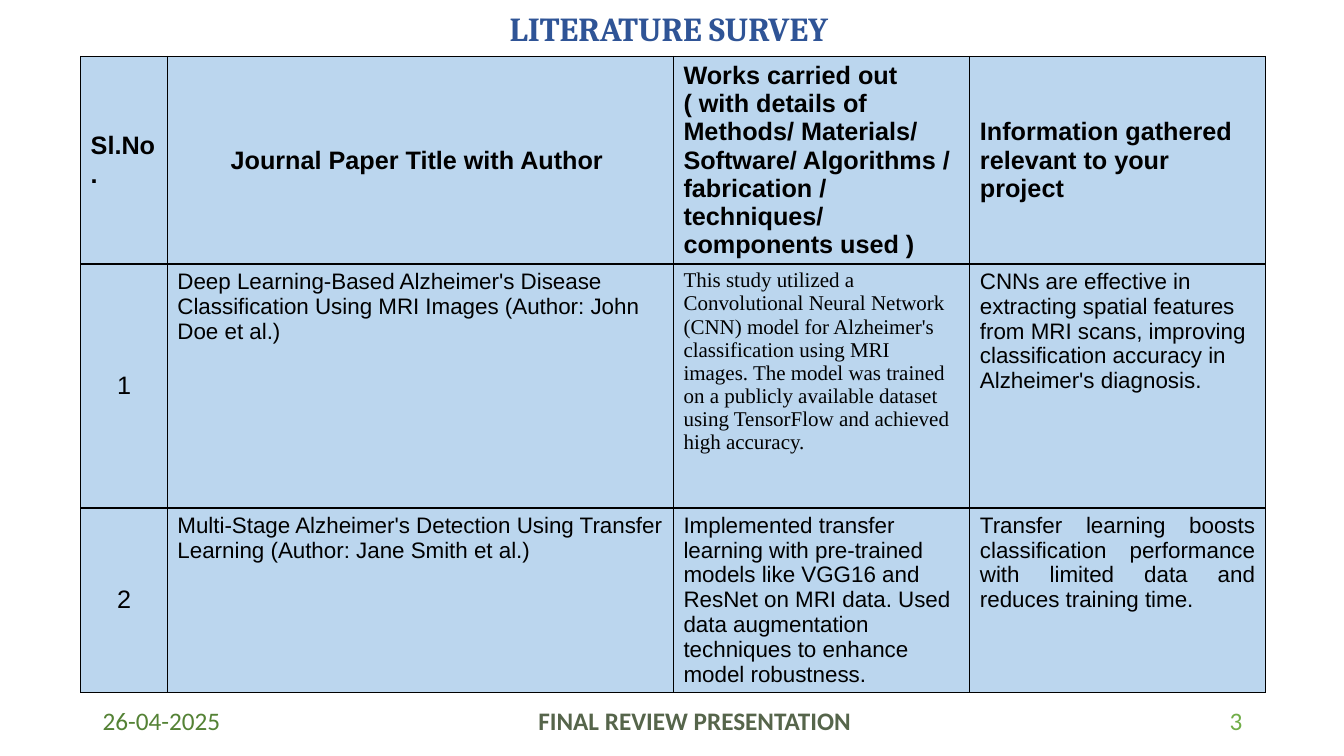
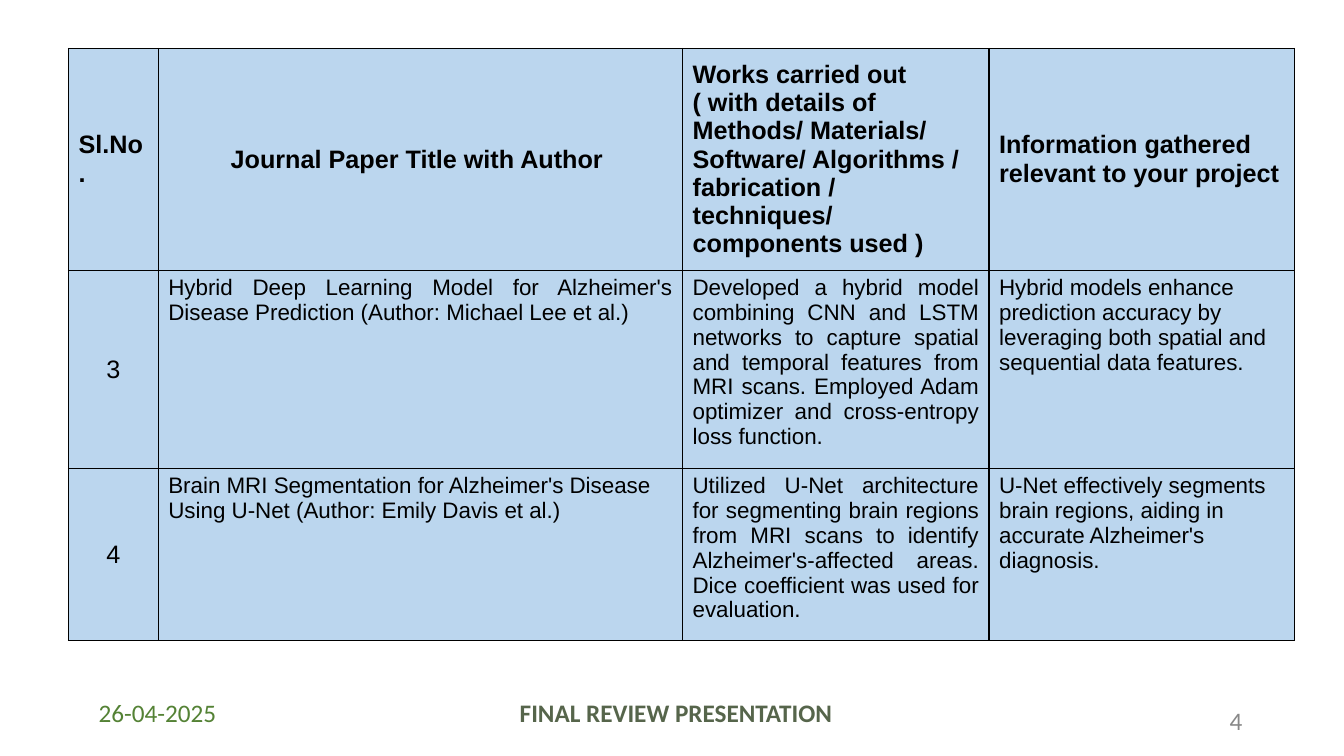
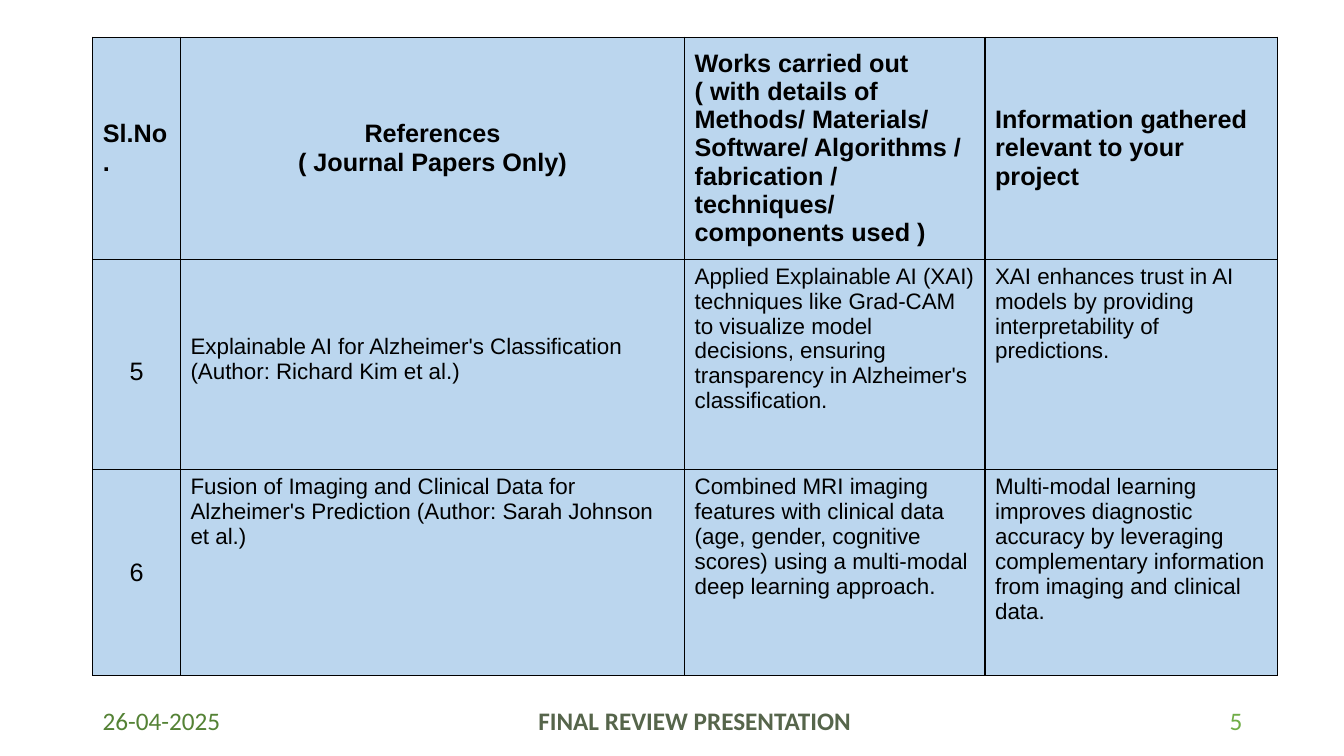
from lxml import etree
from pptx import Presentation
from pptx.dml.color import RGBColor
from pptx.enum.text import MSO_ANCHOR as ANCHOR, MSO_AUTO_SIZE as AUTO_SIZE, PP_ALIGN as ALIGN
from pptx.oxml import parse_xml
from pptx.oxml.ns import nsdecls
from pptx.util import Inches, Pt

# Shared colours and footer wording
TITLE_BLUE = "2F5496"
CELL_BLUE = "BBD6EE"
BLACK = "000000"
DATE_GREEN = "548235"
FOOTER_OLIVE = "56654B"
PAGE_GREEN = "70AD47"
PAGE_GREY = "888888"
DATE = "26-04-2025"
FOOTER = "FINAL REVIEW PRESENTATION"

# Shared table headings
NUMBER_HEAD = "Sl.No."
PAPER_HEAD = "Journal Paper Title with Author "
WORKS_HEAD = ("Works carried out\n( with details of Methods/ Materials/ Software/ Algorithms / "
              "fabrication / techniques/ components used )")
INFO_HEAD = "Information gathered relevant to your project"
HEAD_HEIGHT = 2.06


def style(frame, size, color, font, bold=False, align=ALIGN.LEFT):
    for paragraph in frame.paragraphs:
        paragraph.alignment = align
        for run in paragraph.runs:
            run.font.size = Pt(size)
            run.font.name = font
            run.font.bold = bold
            run.font.color.rgb = RGBColor.from_string(color)


def fill_and_border(cell):
    cell.fill.solid()
    cell.fill.fore_color.rgb = RGBColor.from_string(CELL_BLUE)
    properties = cell._tc.get_or_add_tcPr()
    for position, side in enumerate(("lnL", "lnR", "lnT", "lnB")):
        properties.insert(position, parse_xml(
            f'<a:{side} {nsdecls("a")} w="12700"><a:solidFill><a:srgbClr val="{BLACK}"/>'
            f'</a:solidFill></a:{side}>'))


# Each survey row: height, four texts, columns set justified
surveys = [
    {
        "title": "LITERATURE SURVEY ",
        "paper_head": PAPER_HEAD,
        "left": 0.8, "columns": (0.86, 5.02, 2.94, 2.93),
        "tables": [(0.56, True, [
            (2.42, ("1",
                    "Deep Learning-Based Alzheimer's Disease Classification Using MRI Images "
                    "(Author: John Doe et al.)",
                    "This study utilized a Convolutional Neural Network (CNN) model for Alzheimer's "
                    "classification using MRI images. The model was trained on a publicly available "
                    "dataset using TensorFlow and achieved high accuracy.",
                    "CNNs are effective in extracting spatial features from MRI scans, improving "
                    "classification accuracy in Alzheimer's diagnosis."), ()),
            (1.83, ("2",
                    "Multi-Stage Alzheimer's Detection Using Transfer Learning "
                    "(Author: Jane Smith et al.)",
                    "Implemented transfer learning with pre-trained models like VGG16 and ResNet on "
                    "MRI data. Used data augmentation techniques to enhance model robustness.",
                    "Transfer learning boosts classification performance with limited data and "
                    "reduces training time."), (3,)),
        ])],
        "date_box": (0.92, 6.95, 3), "footer_box": (4.64, 6.95, 4.5), "page_color": PAGE_GREEN,
    },
    {
        "title": None,
        "paper_head": PAPER_HEAD,
        "left": 0.68, "columns": (0.89, 5.2, 3.04, 3.03),
        "tables": [(0.48, True, [
            (1.96, ("3",
                    "Hybrid Deep Learning Model for Alzheimer's Disease Prediction "
                    "(Author: Michael Lee et al.)",
                    "Developed a hybrid model combining CNN and LSTM networks to capture spatial and "
                    "temporal features from MRI scans. Employed Adam optimizer and cross-entropy "
                    "loss function.",
                    "Hybrid models enhance prediction accuracy by leveraging both spatial and "
                    "sequential data features."), (1, 2)),
            (1.71, ("4",
                    "Brain MRI Segmentation for Alzheimer's Disease Using U-Net "
                    "(Author: Emily Davis et al.)",
                    "Utilized U-Net architecture for segmenting brain regions from MRI scans to "
                    "identify Alzheimer's-affected areas. Dice coefficient was used for evaluation.",
                    "U-Net effectively segments brain regions, aiding in accurate Alzheimer's "
                    "diagnosis."), (2,)),
        ])],
        "date_box": (0.88, 6.87, 2.3), "footer_box": (4.34, 6.87, 4.73), "page_color": PAGE_GREY,
    },
    {
        "title": None,
        "paper_head": "References\n( Journal Papers Only)",
        "left": 0.92, "columns": (0.87, 5, 2.98, 2.9),
        "tables": [
            (0.37, True, [
                (2.23, ("5",
                        "Explainable AI for Alzheimer's Classification (Author: Richard Kim et al.)",
                        "Applied Explainable AI (XAI) techniques like Grad-CAM to visualize model "
                        "decisions, ensuring transparency in Alzheimer's classification.",
                        "XAI enhances trust in AI models by providing interpretability of "
                        "predictions."), ()),
            ]),
            (4.66, False, [
                (2.04, ("6",
                        "Fusion of Imaging and Clinical Data for Alzheimer's Prediction "
                        "(Author: Sarah Johnson et al.)",
                        "Combined MRI imaging features with clinical data (age, gender, cognitive "
                        "scores) using a multi-modal deep learning approach.",
                        "Multi-modal learning improves diagnostic accuracy by leveraging "
                        "complementary information from imaging and clinical data."), ()),
            ]),
        ],
        "date_box": (0.92, 6.95, 3), "footer_box": (4.64, 6.95, 4.5), "page_color": PAGE_GREEN,
    },
]

# Exceptions to the body cell style
SERIF_CELL = ("1", 2)
LOWERED_CELL = ("5", 1)

prs = Presentation()
prs.slide_width = Inches(13.33)
prs.slide_height = Inches(7.5)
TITLE_ONLY, BLANK = prs.slide_layouts[5], prs.slide_layouts[6]

for page, survey in enumerate(surveys, start=3):
    slide = prs.slides.add_slide(TITLE_ONLY if survey["title"] else BLANK)

    # Title
    if survey["title"]:
        heading = slide.shapes.title
        heading.left, heading.top = Inches(0.92), Inches(0.15)
        heading.width, heading.height = Inches(11.5), Inches(0.3)
        heading.text_frame.text = survey["title"]
        heading.text_frame.auto_size = AUTO_SIZE.NONE
        heading.text_frame.vertical_anchor = ANCHOR.MIDDLE
        heading.text_frame.paragraphs[0].line_spacing = 0.9
        style(heading.text_frame, 24, TITLE_BLUE, "Cambria", True, ALIGN.CENTER)

    # Survey tables
    for top, has_head, papers in survey["tables"]:
        rows = list(papers)
        if has_head:
            heads = (NUMBER_HEAD, survey["paper_head"], WORKS_HEAD, INFO_HEAD)
            rows.insert(0, (HEAD_HEIGHT, heads, ()))
        table = slide.shapes.add_table(
            len(rows), len(survey["columns"]), Inches(survey["left"]), Inches(top),
            Inches(sum(survey["columns"])), Inches(sum(row[0] for row in rows))).table
        table.first_row = has_head
        table.horz_banding = False
        for column, width in zip(table.columns, survey["columns"]):
            column.width = Inches(width)

        for r, (height, texts, justified) in enumerate(rows):
            table.rows[r].height = Inches(height)
            is_head = has_head and r == 0
            for c, text in enumerate(texts):
                cell = table.cell(r, c)
                cell.text_frame.text = text
                fill_and_border(cell)
                centred = c == 1 if is_head else c == 0
                align = ALIGN.CENTER if centred else ALIGN.JUSTIFY if c in justified else ALIGN.LEFT
                size, font = (18 if is_head or c == 0 else 16), "Arial"
                if (texts[0], c) == SERIF_CELL:
                    size, font = 15, "Times New Roman"
                if (texts[0], c) == LOWERED_CELL:
                    cell.margin_top = Inches(0.75)
                cell.vertical_anchor = ANCHOR.MIDDLE if is_head or c == 0 else ANCHOR.TOP
                style(cell.text_frame, size, BLACK, font, is_head, align)

    # Date, footer and page number
    for text, (left, top, width), color, bold, align in (
            (DATE, survey["date_box"], DATE_GREEN, False, ALIGN.LEFT),
            (FOOTER, survey["footer_box"], FOOTER_OLIVE, True, ALIGN.CENTER),
            (str(page), (9.42, 6.95, 3), survey["page_color"], False, ALIGN.RIGHT)):
        frame = slide.shapes.add_textbox(
            Inches(left), Inches(top), Inches(width), Inches(0.4)).text_frame
        frame.text = text
        frame.word_wrap = True
        frame.vertical_anchor = ANCHOR.MIDDLE
        style(frame, 18, color, "Calibri", bold, align)

prs.save("out.pptx")
